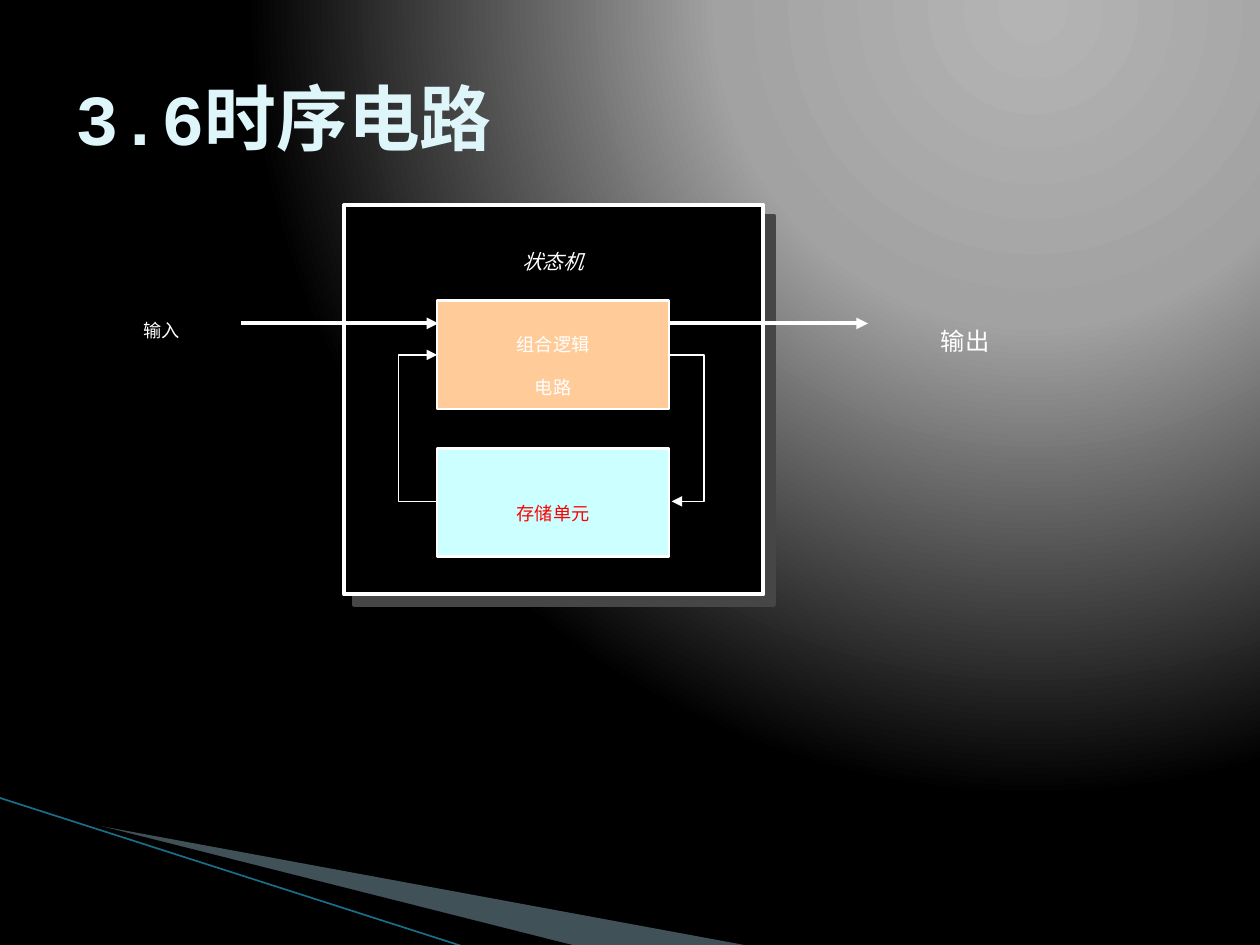
from collections import namedtuple

from lxml.etree import SubElement
from pptx import Presentation
from pptx.dml.color import RGBColor
from pptx.enum.shapes import MSO_CONNECTOR, MSO_SHAPE
from pptx.enum.text import MSO_ANCHOR, MSO_AUTO_SIZE, PP_ALIGN
from pptx.oxml import parse_xml
from pptx.oxml.ns import nsdecls, qn
from pptx.util import Inches, Pt

WHITE = RGBColor(0xFF, 0xFF, 0xFF)
BLACK = RGBColor(0x00, 0x00, 0x00)
RED = RGBColor(0xFF, 0x00, 0x00)
ICE = RGBColor(0xDE, 0xF5, 0xFA)
PEACH = RGBColor(0xFF, 0xCC, 0x99)
AQUA = RGBColor(0xCC, 0xFF, 0xFF)
STEEL = RGBColor(0xA0, 0xCB, 0xDC)
TEAL = RGBColor(0x1B, 0x6E, 0x87)
SHADE = RGBColor(0x46, 0x46, 0x46)
GLOW = ((0, RGBColor(0xB4, 0xB4, 0xB4)), (40, RGBColor(0xA2, 0xA2, 0xA2)), (100, BLACK))

Box = namedtuple("Box", "left top width height")
PAGE = Box(0, 0, Inches(10), Inches(7.5))


def spot(box, x, y):
    return int(box.left + box.width * x / 100), int(box.top + box.height * y / 100)


def part(box, x, y, w, h):
    return Box(*spot(box, x, y), int(box.width * w / 100), int(box.height * h / 100))


def write(shape, text, size=18, color=WHITE, font="Arial", bold=False, italic=False,
          align=PP_ALIGN.CENTER, anchor=MSO_ANCHOR.MIDDLE, wrap=False, grow=False, sub=True):
    frame = shape.text_frame
    frame.text = text
    frame.word_wrap = wrap
    frame.vertical_anchor = anchor
    frame.auto_size = MSO_AUTO_SIZE.SHAPE_TO_FIT_TEXT if grow else MSO_AUTO_SIZE.NONE
    for para in frame.paragraphs:
        para.alignment = align
        for run in para.runs:
            run.font.name, run.font.size = font, Pt(size)
            run.font.bold, run.font.italic = bold, italic
            run.font.color.rgb = color
            if sub:
                run.font._element.set("baseline", "-25000")


def label(slide, box, text, **style):
    write(slide.shapes.add_textbox(*box), text,
          anchor=MSO_ANCHOR.TOP, grow=True, **style)


def block(slide, box, fill, width):
    shape = slide.shapes.add_shape(MSO_SHAPE.RECTANGLE, *box)
    shape.shadow.inherit = False
    shape.fill.solid()
    shape.fill.fore_color.rgb = fill
    shape.line.color.rgb = WHITE
    shape.line.width = Pt(width)
    return shape


def link(slide, start, end, color=WHITE, width=2.25, bend=None, head=True):
    kind = MSO_CONNECTOR.STRAIGHT if bend is None else MSO_CONNECTOR.ELBOW
    line = slide.shapes.add_connector(kind, *start, *end)
    line.line.color.rgb = color
    line.line.width = Pt(width)
    props = line._element.spPr
    if head:
        SubElement(props.find(qn("a:ln")), qn("a:tailEnd"), type="triangle")
    SubElement(props, qn("a:effectLst"))
    if bend is not None:
        guides = props.find(qn("a:prstGeom")).get_or_add_avLst()
        SubElement(guides, qn("a:gd"), name="adj1", fmla=f"val {round(bend * 100000)}")


def wedge(slide, box, points, fill, alpha=None):
    first, *rest = [spot(box, x, y) for x, y in points]
    maker = slide.shapes.build_freeform(*first)
    maker.add_line_segments(rest, close=True)
    shape = maker.convert_to_shape()
    shape.shadow.inherit = False
    shape.fill.solid()
    shape.fill.fore_color.rgb = fill
    shape.line.fill.background()
    if alpha:
        tint = shape._element.spPr.find(f"{qn('a:solidFill')}/{qn('a:srgbClr')}")
        SubElement(tint, qn("a:alpha"), val=str(alpha * 1000))


def backdrop(slide, box):
    stops = "".join(f'<a:gs pos="{pos * 1000}"><a:srgbClr val="{color}"/></a:gs>'
                    for pos, color in GLOW)
    slide.background.fill.solid()
    props = slide._element.cSld.find(f"{qn('p:bg')}/{qn('p:bgPr')}")
    props.replace(props[0], parse_xml(
        f'<a:gradFill {nsdecls("a")} rotWithShape="1"><a:gsLst>{stops}</a:gsLst>'
        '<a:path path="circle"><a:fillToRect l="65000" b="98000"/></a:path></a:gradFill>'))
    wedge(slide, box, [(5.5, 86.8), (59.5, 100.1), (45.6, 100.1), (5.5, 86.7)], STEEL, 40)
    wedge(slide, box, [(5.3, 86.5), (45.7, 100.1), (37.2, 100.3), (5.4, 86.7)], BLACK)
    link(slide, spot(box, -0.1, 84.4), spot(box, 37.1, 100.3), TEAL, 0.95, head=False)


def title(slide, box):
    write(slide.shapes.add_textbox(*box), "3.6时序电路", size=41, color=ICE,
          font="Courier New", bold=True, align=PP_ALIGN.LEFT, wrap=True, sub=False)


def machine(slide, box):
    panel = block(slide, box, BLACK, 2.25)
    effects = panel._element.spPr.find(qn("a:effectLst"))
    shadow = SubElement(effects, qn("a:outerShdw"), dist=str(Pt(8.5)), dir="2700000",
                        algn="ctr", rotWithShape="0")
    SubElement(shadow, qn("a:srgbClr"), val=str(SHADE))
    label(slide, part(box, 34.2, 3.6, 31.2, 14.2), "状态机", size=20, italic=True)
    for top, fill, text, color in ((24.6, PEACH, "组合逻辑\n电路", WHITE),
                                   (62.5, AQUA, "存储单元", RED)):
        write(block(slide, part(box, 22.2, top, 55.3, 27.8), fill, 1.5), text, color=color)
    for left, right in ((-24.6, 22.5), (77.8, 124.9)):
        link(slide, spot(box, left, 30.4), spot(box, right, 30.4))
    step = 0.3
    for left, turn, start, end in ((77.8, 85.9, 38.5, 76.1), (21.9, 12.9, 76.1, 38.5)):
        link(slide, spot(box, left, start), spot(box, left + step, end),
             width=0.75, bend=(turn - left) / step)


def main():
    deck = Presentation()
    deck.slide_width, deck.slide_height = PAGE.width, PAGE.height
    slide = deck.slides.add_slide(deck.slide_layouts[6])
    backdrop(slide, PAGE)
    title(slide, part(PAGE, 5, 4, 90, 16.7))
    for left, text, size in ((8.4, "输入", 18), (72.2, "输出", 24)):
        label(slide, part(PAGE, left, 30.9, 8.8, 6.7), text, size=size)
    machine(slide, part(PAGE, 27.3, 21.7, 33.3, 41.2))
    deck.save("out.pptx")


if __name__ == "__main__":
    main()
